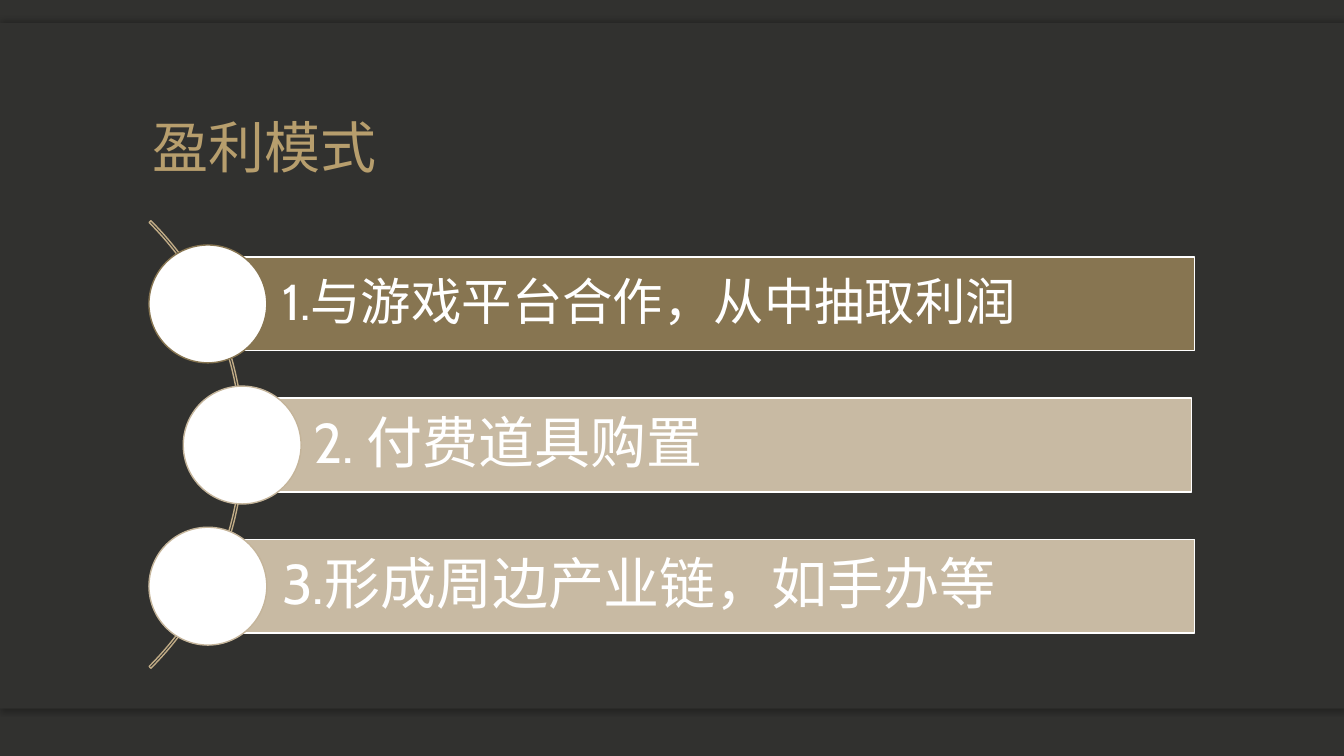
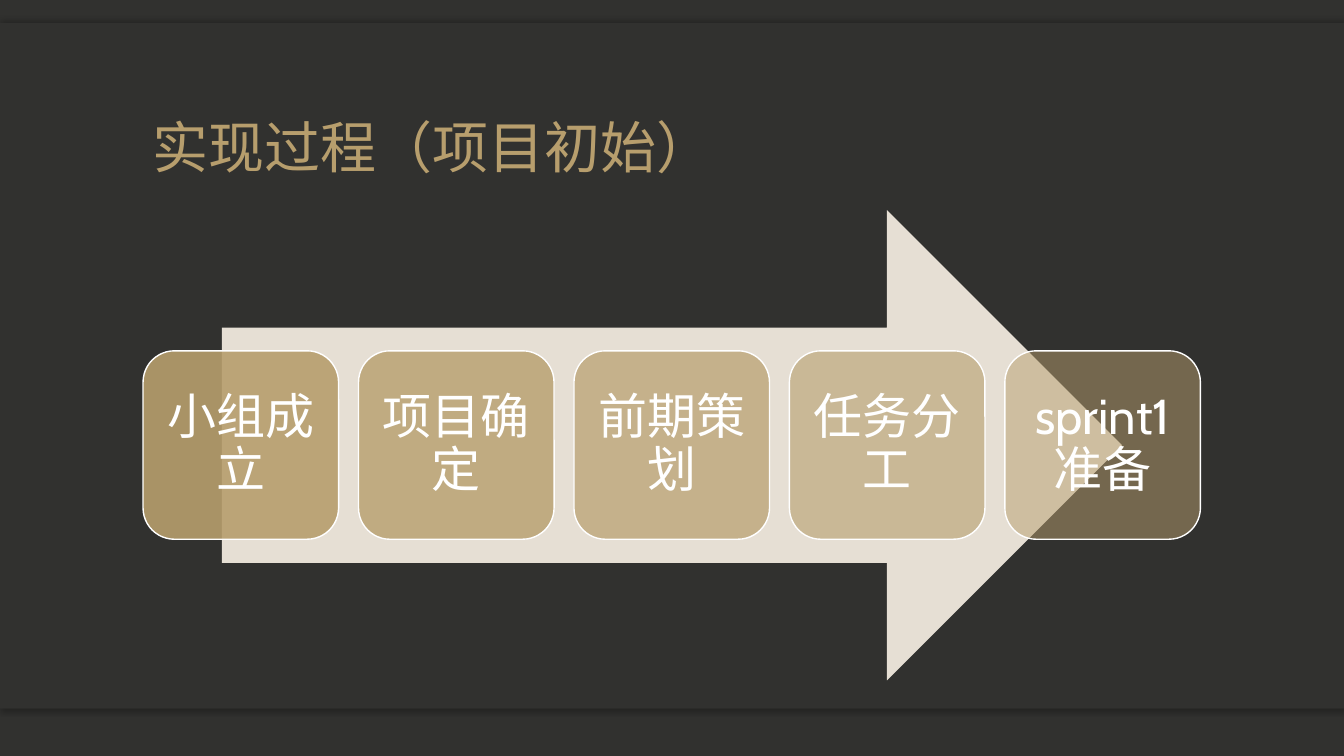
"""Build two dark slides: a profit model list and a project start process."""
import pptx
import pptx.dml.color
import pptx.enum.shapes
import pptx.enum.text
import pptx.oxml
import pptx.oxml.ns
import pptx.util

Pt = pptx.util.Pt
SHAPE = pptx.enum.shapes.MSO_SHAPE
ANCHOR = pptx.enum.text.MSO_ANCHOR
ALIGN = pptx.enum.text.PP_ALIGN

WIDTH, HEIGHT = 960, 540
LATIN, EAST_ASIAN = "Cabin", "Noto Sans CJK SC"
DARK, GOLD, WHITE = "31312F", "B79E6D", "FFFFFF"
BROWN, SAND, PALE = "877551", "C8BAA3", "E6DFD4"
RING, ARC = "C4B49A", "C0AB86"

PROFIT_TITLE = "盈利模式"
PROFIT_ROWS = [
    {"text": "1.与游戏平台合作，从中抽取利润", "size": 36, "fill": BROWN, "ring": BROWN,
     "circle": 148.5, "left": 148.3, "width": 705},
    {"text": "2. 付费道具购置", "size": 40, "fill": SAND, "ring": RING,
     "circle": 173, "left": 170.7, "width": 680.5},
    {"text": "3.形成周边产业链，如手办等", "size": 40, "fill": SAND, "ring": RING,
     "circle": 148.5, "left": 148.3, "width": 705},
]
PROCESS_TITLE = "实现过程（项目初始）"
PROCESS_STEPS = ["小组成立", "项目确定", "前期策划", "任务分工", "sprint1准备"]

PANEL_TOP, PANEL_HEIGHT, BAND_HEIGHT = 16.5, 489.5, 35
ROW_CENTER, ROW_PITCH, BAR_HEIGHT, CIRCLE = 217.1, 100.8, 67, 84.2
STEP_LEFT, STEP_PITCH, STEP_TOP, STEP_WIDTH, STEP_HEIGHT = 102.2, 153.9, 250.6, 139.7, 134.6


def color(value):
    return pptx.dml.color.RGBColor.from_string(value)


def add_shape(slide, kind, left, top, width, height, fill=None, line=None, alpha=None):
    shape = slide.shapes.add_shape(kind, Pt(left), Pt(top), Pt(width), Pt(height))
    shape.shadow.inherit = False
    if fill:
        shape.fill.solid()
        shape.fill.fore_color.rgb = color(fill)
    else:
        shape.fill.background()
    if alpha:
        fill_color = shape.fill._xPr.find(".//" + pptx.oxml.ns.qn("a:srgbClr"))
        fill_color.append(pptx.oxml.parse_xml(
            f'<a:alpha {pptx.oxml.ns.nsdecls("a")} val="{alpha * 1000}"/>'))
    if line:
        shape.line.color.rgb = color(line)
        shape.line.width = Pt(1)
    else:
        shape.line.fill.background()
    return shape


def add_band(slide, top, direction):
    band = add_shape(slide, SHAPE.RECTANGLE, 0, top, WIDTH, BAND_HEIGHT, DARK)
    effects = band._element.spPr.find(pptx.oxml.ns.qn("a:effectLst"))
    effects.append(pptx.oxml.parse_xml(
        f'<a:outerShdw {pptx.oxml.ns.nsdecls("a")} blurRad="{Pt(4)}" dist="{Pt(2)}" '
        f'dir="{direction * 60000}" rotWithShape="0">'
        '<a:srgbClr val="000000"><a:alpha val="25000"/></a:srgbClr></a:outerShdw>'))


def set_text(shape, text, size, text_color, latin=LATIN, align=ALIGN.LEFT,
             anchor=ANCHOR.MIDDLE, insets=(7.2, 3.6, 7.2, 3.6)):
    frame = shape.text_frame
    frame.text = text
    frame.word_wrap = True
    frame.vertical_anchor = anchor
    frame.margin_left, frame.margin_top, frame.margin_right, frame.margin_bottom = map(Pt, insets)
    paragraph = frame.paragraphs[0]
    paragraph.alignment = align
    paragraph.line_spacing = 0.9
    font = paragraph.runs[0].font
    font.size = Pt(size)
    font.color.rgb = color(text_color)
    font.name = latin
    font._element.find(pptx.oxml.ns.qn("a:latin")).addnext(pptx.oxml.parse_xml(
        f'<a:ea {pptx.oxml.ns.nsdecls("a")} typeface="{EAST_ASIAN}"/>'))


def add_slide(presentation, title):
    slide = presentation.slides.add_slide(presentation.slide_layouts[6])
    slide.background.fill.solid()
    slide.background.fill.fore_color.rgb = color(DARK)
    add_band(slide, PANEL_TOP + PANEL_HEIGHT - BAND_HEIGHT, 90)
    add_band(slide, PANEL_TOP, 270)
    add_shape(slide, SHAPE.RECTANGLE, 0, PANEL_TOP, WIDTH, PANEL_HEIGHT, DARK)
    box = slide.shapes.add_textbox(Pt(102), Pt(33), Pt(756), Pt(99.5))
    set_text(box, title, 40, GOLD, latin=EAST_ASIAN, anchor=ANCHOR.BOTTOM)
    return slide


def build_profit(presentation):
    slide = add_slide(presentation, PROFIT_TITLE)
    arc = add_shape(slide, SHAPE.BLOCK_ARC, -278, 91.5, 452, 452, line=ARC)
    for index, value in enumerate((189, 27, 0.004)):
        arc.adjustments[index] = value
    for index, row in enumerate(PROFIT_ROWS):
        center = ROW_CENTER + index * ROW_PITCH
        bar = add_shape(slide, SHAPE.RECTANGLE, row["left"], center - BAR_HEIGHT / 2,
                        row["width"], BAR_HEIGHT, row["fill"], WHITE)
        set_text(bar, row["text"], row["size"], WHITE, insets=(53.3, 7.5, 7.5, 7.5))
        add_shape(slide, SHAPE.OVAL, row["circle"] - CIRCLE / 2, center - CIRCLE / 2,
                  CIRCLE, CIRCLE, WHITE, row["ring"])


def build_process(presentation):
    slide = add_slide(presentation, PROCESS_TITLE)
    add_shape(slide, SHAPE.RIGHT_ARROW, 158.5, 150, 643, 336, PALE)
    for index, step in enumerate(PROCESS_STEPS):
        card = add_shape(slide, SHAPE.ROUNDED_RECTANGLE, STEP_LEFT + index * STEP_PITCH,
                         STEP_TOP, STEP_WIDTH, STEP_HEIGHT, GOLD, WHITE, 90 - 10 * index)
        set_text(card, step, 35, WHITE, align=ALIGN.CENTER, insets=(10, 10, 10, 10))


def main():
    presentation = pptx.Presentation()
    presentation.slide_width, presentation.slide_height = Pt(WIDTH), Pt(HEIGHT)
    build_profit(presentation)
    build_process(presentation)
    presentation.save("out.pptx")


if __name__ == "__main__":
    main()
